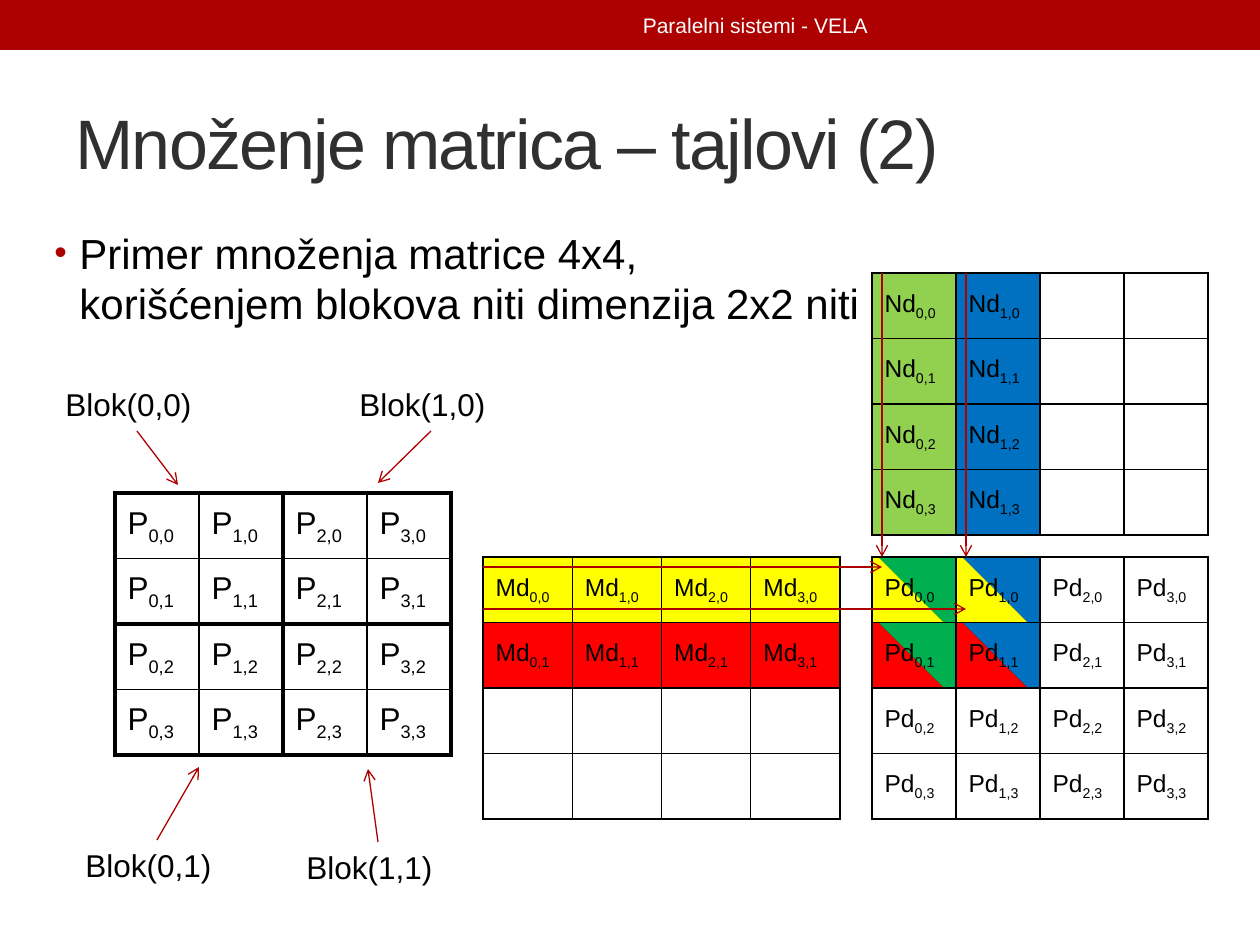
from lxml import etree
from pptx import Presentation
from pptx import util as u
from pptx.dml.color import RGBColor
from pptx.enum import shapes, text
from pptx.oxml import ns

EMU_PER_PX = 914400 / 126
FONT = "Arial"
COLORS = {
    "bar": "AD0101", "arrow": "AE0000", "title": "303030",
    "black": "000000", "white": "FFFFFF", "lime": "92D050", "blue": "0070C0",
    "yellow": "FFFF00", "red": "FF0000", "green": "00B050",
}
SIDES = ("L", "R", "T", "B")


def px(length):
    return u.Emu(round(length * EMU_PER_PX))


def rgb(name):
    return RGBColor.from_string(COLORS[name])


def sub(parent, tag, **attributes):
    child = etree.SubElement(parent, ns.qn(tag))
    for key, value in attributes.items():
        child.set(key, str(value))
    return child


class Sheet:
    """Holds the style and the slide being drawn."""

    def __init__(self, slide):
        self.slide = slide

    def style(self, run, size, color):
        run.font.name = FONT
        run.font.size = u.Pt(size)
        run.font.color.rgb = rgb(color)

    def bar(self, x, y, w, h, color):
        bar = self.slide.shapes.add_shape(
            shapes.MSO_SHAPE.RECTANGLE, px(x), px(y), px(w), px(h))
        bar.shadow.inherit = False
        bar.fill.solid()
        bar.fill.fore_color.rgb = rgb(color)
        bar.line.fill.background()

    def text(self, words, x, y, w, h, size, color="black",
             anchor=text.MSO_ANCHOR.TOP, align=text.PP_ALIGN.LEFT):
        box = self.slide.shapes.add_textbox(px(x), px(y), px(w), px(h))
        frame = box.text_frame
        frame.word_wrap = True
        frame.vertical_anchor = anchor
        paragraph = frame.paragraphs[0]
        paragraph.text = words
        paragraph.alignment = align
        for run in paragraph.runs:
            self.style(run, size, color)
        return paragraph

    def bullet(self, paragraph, indent, color):
        properties = paragraph._p.get_or_add_pPr()
        properties.set("marL", str(px(indent)))
        properties.set("indent", str(-px(indent)))
        sub(sub(properties, "a:buClr"), "a:srgbClr", val=COLORS[color])
        sub(properties, "a:buSzPct", val=85000)
        sub(properties, "a:buFont", typeface=FONT)
        sub(properties, "a:buChar", char="•")

    def arrow(self, x1, y1, x2, y2):
        arrow = self.slide.shapes.add_connector(
            shapes.MSO_CONNECTOR.STRAIGHT, px(x1), px(y1), px(x2), px(y2))
        arrow.line.color.rgb = rgb("arrow")
        arrow.line.width = u.Pt(0.75)
        properties = arrow._element.spPr
        sub(properties.find(ns.qn("a:ln")), "a:tailEnd", type="arrow")
        sub(properties, "a:effectLst")

    def paint(self, cell, fill):
        """Fill with one colour, or with two split along the diagonal."""
        if isinstance(fill, str):
            cell.fill.solid()
            cell.fill.fore_color.rgb = rgb(fill)
            return
        cell.fill.gradient()
        cell.fill.gradient_angle = 45
        for stop, position, color in zip(cell.fill.gradient_stops, (0.48, 0.49), fill):
            stop.position = position
            stop.color.rgb = rgb(color)

    def borders(self, cell, widths):
        properties = cell._tc.get_or_add_tcPr()
        for index, (side, width) in enumerate(zip(SIDES, widths)):
            line = sub(properties, f"a:ln{side}", w=u.Pt(width))
            sub(sub(line, "a:solidFill"), "a:srgbClr", val=COLORS["black"])
            properties.insert(index, line)

    def matrix(self, name, x, y, w, h, size, fill, labelled, widths):
        """Draw a 4x4 matrix; fill, labelled and widths are rules of (column, row)."""
        frame = self.slide.shapes.add_table(4, 4, px(x), px(y), px(w), px(h))
        table = frame.table
        table.first_row = table.horz_banding = False
        for index in range(4):
            table.columns[index].width = px(w / 4)
            table.rows[index].height = px(h / 4)
        for row in range(4):
            for col in range(4):
                cell = table.cell(row, col)
                cell.vertical_anchor = text.MSO_ANCHOR.MIDDLE
                self.paint(cell, fill(col, row))
                self.borders(cell, widths(col, row))
                if labelled(col, row):
                    paragraph = cell.text_frame.paragraphs[0]
                    for part in (name, f"{col},{row}"):
                        run = paragraph.add_run()
                        run.text = part
                        self.style(run, size, "black")
                    run.font._element.set("baseline", "-25000")


def thin(col, row):
    return (1, 1, 1, 1)


def block_outline(col, row):
    """Thick lines round each 2x2 block, thin lines inside it."""
    left, top = (1 if index % 2 else 3 for index in (col, row))
    return (left, 4 - left, top, 4 - top)


def everywhere(col, row):
    return True


def main():
    deck = Presentation()
    deck.slide_width, deck.slide_height = px(1260), px(945)
    sheet = Sheet(deck.slides.add_slide(deck.slide_layouts[6]))
    middle = text.MSO_ANCHOR.MIDDLE

    # Header, title and statement
    sheet.bar(0, 0, 1260, 50, "bar")
    title = sheet.text("Množenje matrica – tajlovi (2)", 63, 73, 1134, 136, 40,
                       "title", middle)
    title.runs[0].font._element.set("spc", "-100")
    statement = sheet.text(
        "Primer množenja matrice 4x4,\nkorišćenjem blokova niti dimenzija 2x2 niti",
        42, 221, 1155, 672, 24)
    statement.space_before = u.Pt(4.8)
    sheet.bullet(statement, 25, "bar")
    sheet.text("Paralelni sistemi - VELA", 472, 2, 567, 46, 12, "white", middle,
               text.PP_ALIGN.CENTER)

    # Matrices
    n_columns = ("lime", "blue", "white", "white")
    m_rows = ("yellow", "red", "white", "white")
    p_columns = ("green", "blue")

    def product_fill(col, row):
        return (m_rows[row], p_columns[col]) if col < 2 and row < 2 else "white"

    sheet.matrix("P", 115, 493, 336, 262, 18, lambda col, row: "white",
                 everywhere, block_outline)
    sheet.matrix("Nd", 872, 273, 336, 262, 14, lambda col, row: n_columns[col],
                 lambda col, row: col < 2, thin)
    sheet.matrix("Md", 483, 557, 357, 262, 14, lambda col, row: m_rows[row],
                 lambda col, row: row < 2, thin)
    sheet.matrix("Pd", 872, 557, 336, 262, 14, product_fill, everywhere, thin)

    # Block labels with their arrows
    for block, x, y, arrow in (
        ("0,0", 53, 379, (137, 431, 178, 485)),
        ("0,1", 73, 840, (157, 840, 199, 767)),
        ("1,1", 294, 842, (378, 842, 368, 769)),
        ("1,0", 347, 379, (431, 431, 378, 483)),
    ):
        sheet.text(f"Blok({block})", x, y, 168, 50, 18)
        sheet.arrow(*arrow)

    # Rows of Md and columns of Nd running into Pd
    for x, y in ((882, 567), (966, 609)):
        sheet.arrow(483, y, x, y)
        sheet.arrow(x, 273, x, 557)

    deck.save("out.pptx")


if __name__ == "__main__":
    main()
